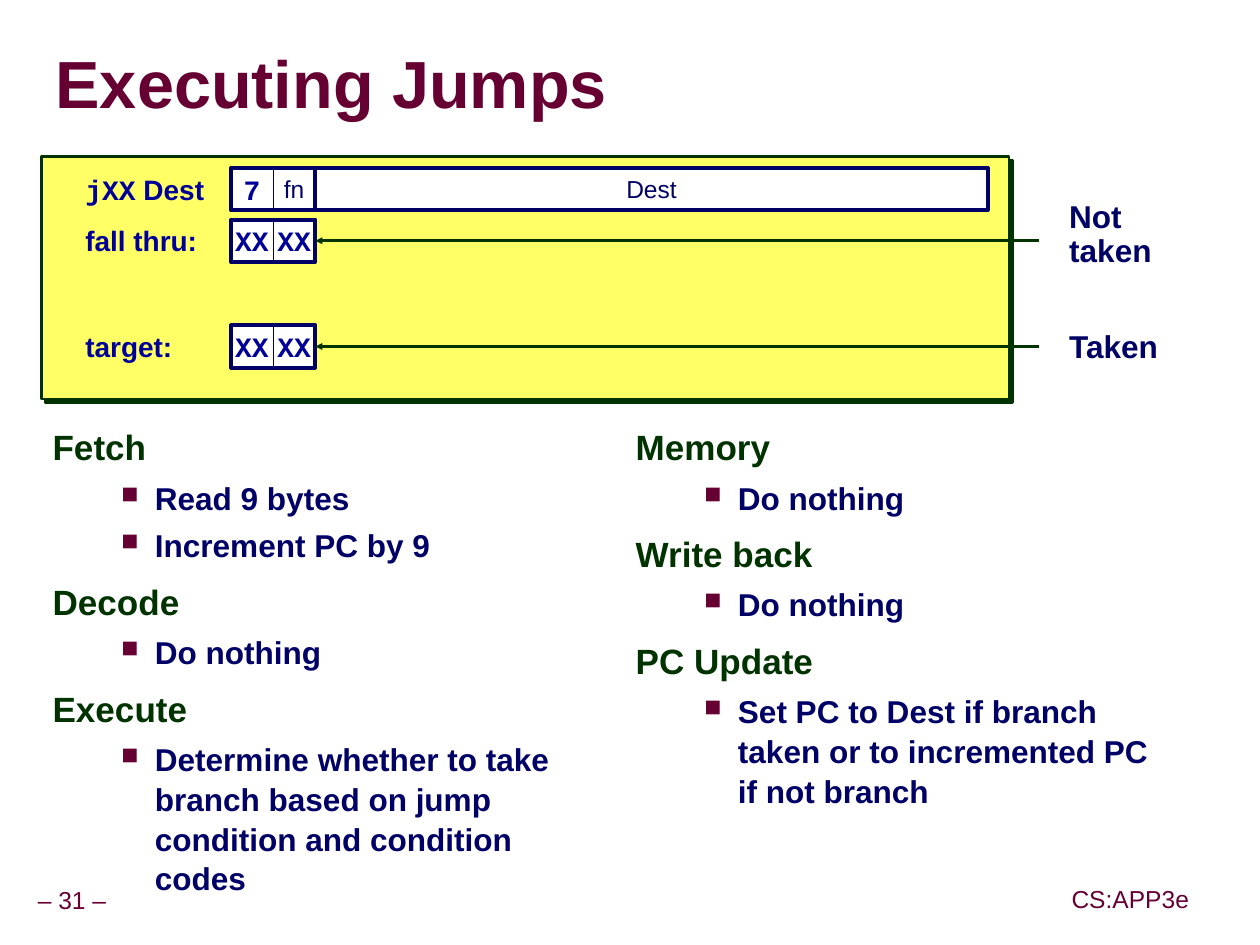
"""Build the slide on executing jump instructions."""
from dataclasses import dataclass
from typing import NamedTuple

from lxml import etree
from pptx import Presentation
from pptx import util as u
from pptx.dml.color import RGBColor
from pptx.enum import shapes, text
from pptx.oxml import ns

Cm, Pt = u.Cm, u.Pt
LEFT, MID = text.PP_ALIGN.LEFT, text.PP_ALIGN.CENTER
RECT = shapes.MSO_SHAPE.RECTANGLE


@dataclass(frozen=True)
class Theme:
    """Colours, fonts and type sizes."""
    wine: str = "660033"
    green: str = "003300"
    navy: str = "000066"
    blue: str = "000099"
    yellow: str = "FFFF66"
    white: str = "FFFFFF"
    gray: str = "969696"
    sans: str = "Arial"
    mono: str = "Courier New"
    title: int = 38
    head: int = 20
    body: int = 18
    code: int = 16
    small: int = 14


T = Theme()


class Look(NamedTuple):
    """Type style of a run."""
    size: int
    color: str
    bold: bool = True
    font: str = T.sans


class Span(NamedTuple):
    """Words in one style."""
    words: str
    look: Look


class Row(NamedTuple):
    """Label and byte cells of one instruction line."""
    top: float
    label: list[Span]
    cells: list[Span]
    note: str = ""
    drop: float = 0


class Note(NamedTuple):
    """Free text with its place and style."""
    left: float
    top: float
    width: float
    high: float
    span: Span
    align: text.PP_ALIGN = LEFT


TITLE = Look(T.title, T.wine)
HEAD, BODY = Look(T.head, T.green), Look(T.body, T.navy)
FOOT = Look(T.small, T.wine, False)
FIELD = Look(T.small, T.navy, False)
LABEL = Look(T.code, T.blue)
CODE = Look(T.code, T.blue, True, T.mono)

CELL, BYTE, SIDE = 0.85, 4.65, 21.4
ROWS = [
    Row(3.38, [Span("jXX", CODE), Span(" Dest", LABEL)], [Span("7", CODE), Span("fn", FIELD)]),
    Row(4.42, [Span("fall thru:", LABEL)], [Span("XX", CODE)] * 2, "Not taken", 4.27),
    Row(6.55, [Span("target:", LABEL)], [Span("XX", CODE)] * 2, "Taken", 6.55),
]
FEET = [
    Note(0.61, 17.75, 1.68, 0.8, Span("– 31 –", FOOT), MID),
    Note(21.44, 17.73, 2.64, 0.8, Span("CS:APP3e", FOOT), MID),
]
STAGES = {
    0.81: [("Fetch", ["Read 9 bytes", "Increment PC by 9"]),
           ("Decode", ["Do nothing"]),
           ("Execute", ["Determine whether to take branch based on jump "
                        "condition and condition codes"])],
    12.55: [("Memory", ["Do nothing"]),
            ("Write back", ["Do nothing"]),
            ("PC Update", ["Set PC to Dest if branch taken or to incremented PC "
                           "if not branch"])],
}


def style(run, look: Look) -> None:
    """Apply a look to a run."""
    font = run.font
    font.size, font.bold, font.name = Pt(look.size), look.bold, look.font
    font.color.rgb = RGBColor.from_string(look.color)


def write(para, spans: list[Span], align=LEFT) -> None:
    """Fill a paragraph with styled spans."""
    para.text = spans[0].words
    for span in spans[1:]:
        para.add_run().text = span.words
    for run, span in zip(para.runs, spans):
        style(run, span.look)
    para.alignment = align


def setup(frame, inset: float, wrap: bool = False, anchor=text.MSO_ANCHOR.MIDDLE) -> None:
    """Set margins, wrapping and anchor of a text frame."""
    frame.margin_left = frame.margin_right = Cm(inset)
    frame.margin_top = frame.margin_bottom = Cm(min(inset, 0.13))
    frame.word_wrap, frame.vertical_anchor = wrap, anchor


def shade(effects, color: str, dist: float) -> None:
    """Add a hard shadow down and to the right."""
    cast = etree.SubElement(effects, ns.qn("a:outerShdw"), blurRad="0",
                            dist=str(Pt(dist)), dir="2700000", algn="ctr", rotWithShape="0")
    etree.SubElement(cast, ns.qn("a:srgbClr"), val=color)


def box(slide, left: float, top: float, width: float, high: float,
        fill: str, line: str, thick: float):
    """Draw a rectangle, hollow when no fill is given."""
    rect = slide.shapes.add_shape(RECT, Cm(left), Cm(top), Cm(width), Cm(high))
    rect.shadow.inherit = False
    if fill:
        rect.fill.solid()
        rect.fill.fore_color.rgb = RGBColor.from_string(fill)
    else:
        rect.fill.background()
    rect.line.color.rgb = RGBColor.from_string(line)
    rect.line.width = Pt(thick)
    return rect


def cell(slide, left: float, top: float, width: float, span: Span, thick: float) -> None:
    """Draw a white field with centred text."""
    rect = box(slide, left, top, width, CELL, T.white, T.navy, thick)
    setup(rect.text_frame, 0.25)
    write(rect.text_frame.paragraphs[0], [span], MID)


def label(slide, note: Note) -> None:
    """Draw a short tight text."""
    frame = slide.shapes.add_textbox(
        Cm(note.left), Cm(note.top), Cm(note.width), Cm(note.high)).text_frame
    setup(frame, 0.13)
    write(frame.paragraphs[0], [note.span], note.align)
    frame.paragraphs[0].line_spacing = 0.9


def arrow(slide, goal) -> None:
    """Draw an arrow from the side notes to a byte frame."""
    mid = goal.top + goal.height // 2
    line = slide.shapes.add_connector(
        shapes.MSO_CONNECTOR.STRAIGHT, Cm(20.93), mid, goal.left + goal.width, mid)
    line.end_connect(goal, 3)
    line.line.color.rgb = RGBColor.from_string(T.green)
    line.line.width = Pt(1.5)
    etree.SubElement(line.line._get_or_add_ln(), ns.qn("a:tailEnd"),
                     type="triangle", w="sm", len="sm")
    etree.SubElement(line._element.spPr, ns.qn("a:effectLst"))


def code(slide, row: Row) -> None:
    """Draw one instruction line."""
    tag = slide.shapes.add_textbox(Cm(1.47), Cm(row.top), Cm(3.1), Cm(CELL)).text_frame
    setup(tag, 0.25)
    write(tag.paragraphs[0], row.label)
    for i, span in enumerate(row.cells):
        cell(slide, BYTE + i * CELL, row.top, CELL, span, 0.5)
    goal = box(slide, BYTE, row.top, 2 * CELL, CELL, "", T.navy, 2.25)
    if row.note:
        arrow(slide, goal)
        label(slide, Note(SIDE, row.drop, 3.15, 0.94, Span(row.note, BODY)))


def bullet(para) -> None:
    """Give a paragraph a small square bullet."""
    props = para._p.get_or_add_pPr()
    props.set("marL", str(Cm(2.06)))
    props.set("indent", str(Cm(-0.68)))
    tint = etree.SubElement(props, ns.qn("a:buClr"))
    etree.SubElement(tint, ns.qn("a:srgbClr"), val=T.wine)
    etree.SubElement(props, ns.qn("a:buSzPct"), val="75000")
    etree.SubElement(props, ns.qn("a:buChar"), char="■")


def column(slide, left: float, stages: list[tuple[str, list[str]]]) -> None:
    """Draw a column of stages and their steps."""
    frame = slide.shapes.add_textbox(Cm(left), Cm(8.5), Cm(11.3), Cm(9.4)).text_frame
    setup(frame, 0.25, True, text.MSO_ANCHOR.TOP)
    for i, (name, steps) in enumerate(stages):
        para = frame.add_paragraph() if i else frame.paragraphs[0]
        write(para, [Span(name, HEAD)])
        para.line_spacing, para.space_before = 0.95, Pt(11 if i else 0)
        for step in steps:
            para = frame.add_paragraph()
            bullet(para)
            write(para, [Span(step, BODY)])
            para.level, para.line_spacing, para.space_before = 1, 1.05, Pt(4.5)


def title(slide) -> None:
    """Draw the shadowed heading."""
    frame = slide.shapes.add_textbox(Cm(1.12), Cm(0.69), Cm(24.18), Cm(2.16)).text_frame
    setup(frame, 0, True)
    para = frame.paragraphs[0]
    write(para, [Span("Executing Jumps", TITLE)])
    para.line_spacing = 0.87
    effects = etree.Element(ns.qn("a:effectLst"))
    shade(effects, T.gray, 2.8)
    para.runs[0].font._element.find(ns.qn("a:solidFill")).addnext(effects)


def main() -> None:
    """Build and save the slide."""
    deck = Presentation()
    deck.slide_width, deck.slide_height = Cm(25.37), Cm(19.02)
    slide = deck.slides.add_slide(deck.slide_layouts[6])
    for foot in FEET:
        label(slide, foot)
    title(slide)
    for left, stages in STAGES.items():
        column(slide, left, stages)
    panel = box(slide, 0.84, 3.15, 19.48, 4.88, T.yellow, T.green, 1.5)
    shade(panel._element.spPr.find(ns.qn("a:effectLst")), T.green, 2.8)
    for row in ROWS:
        code(slide, row)
    cell(slide, BYTE + 2 * CELL, ROWS[0].top, 13.54, Span("Dest", FIELD), 2.25)
    deck.save("out.pptx")


if __name__ == "__main__":
    main()
